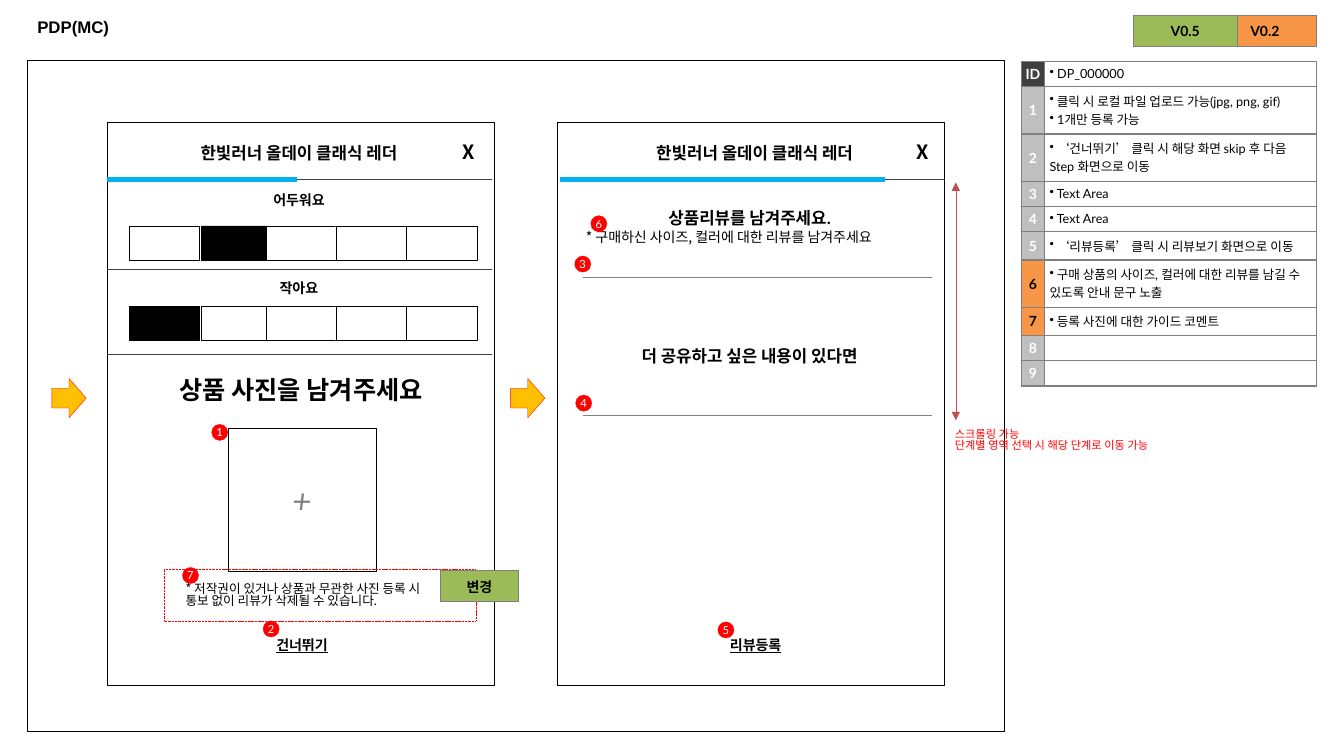
from lxml import etree
from pptx import Presentation, util as u
from pptx.dml.color import RGBColor
from pptx.enum import dml, shapes, text
from pptx.oxml.ns import qn

COLORS = {"black": "000000", "white": "FFFFFF", "dark": "404040", "gray": "808080",
          "border": "7F7F7F", "light": "BFBFBF", "red": "FF0000", "blue": "00B0F0",
          "amber": "FFC000", "orange": "F79646", "green": "9BBB59", "brick": "C0504D"}
HANGUL = "Noto Sans CJK KR"
CENTER, LEFT = text.PP_ALIGN.CENTER, text.PP_ALIGN.LEFT
TOP, MIDDLE = text.MSO_ANCHOR.TOP, text.MSO_ANCHOR.MIDDLE
RECT, OVAL = shapes.MSO_SHAPE.RECTANGLE, shapes.MSO_SHAPE.OVAL

prs = Presentation()
prs.slide_width, prs.slide_height = u.Inches(13.33), u.Inches(7.5)
slide = prs.slides.add_slide(prs.slide_layouts[6])
CELL = prs.slide_width / 133.3  # the slide is a grid of 133.3 columns by 75 rows


def write(frame, lines, size, color="black", bold=False, align=CENTER, font="Lato",
          bullet=False, spacing=None, underline=None, italic=None):
    for i, line in enumerate(lines):
        par = frame.paragraphs[0] if i == 0 else frame.add_paragraph()
        if bullet:
            etree.SubElement(par._p.get_or_add_pPr(), qn("a:buChar"), char="•")
        par.alignment = align
        if spacing:
            par.line_spacing = spacing
        run = par.add_run()
        run.text = line
        run.font.size, run.font.name = u.Pt(size), font
        run.font.bold, run.font.italic, run.font.underline = bold, italic, underline
        run.font.color.rgb = RGBColor.from_string(COLORS[color])
        etree.SubElement(run._r.get_or_add_rPr(), qn("a:ea"), typeface=HANGUL)


def draw(kind, at, fill=None, line="black", weight=0.25):
    part = slide.shapes.add_shape(kind, *[int(v * CELL) for v in at])
    part.shadow.inherit = False
    if fill:
        part.fill.solid()
        part.fill.fore_color.rgb = RGBColor.from_string(COLORS[fill])
    else:
        part.fill.background()
    part.line.color.rgb = RGBColor.from_string(COLORS[line])
    part.line.width = u.Pt(weight)
    frame = part.text_frame
    frame.margin_left = frame.margin_right = frame.margin_top = frame.margin_bottom = 0
    frame.vertical_anchor, frame.word_wrap = MIDDLE, False
    return part


# Page frame, the two phone screens and the step arrows
draw(RECT, (2.7, 6, 96.9, 66.6), weight=0.75)
for screen_left, arrow_left in ((10.6, 4.9), (55.3, 50.4)):
    draw(RECT, (screen_left, 12.1, 38.4, 55.9))
    draw(shapes.MSO_SHAPE.DOWN_ARROW, (arrow_left, 37.8, 3.9, 3.4), "amber", "red").rotation = 270

# Rating bars: five steps, one of them chosen
steps = ((12.8, 7), (20, 6.6), (26.4, 7), (33.3, 7), (40.3, 7))
for bar_top, chosen in ((22.4, 1), (30.4, 0)):
    for i, (step_left, step_width) in enumerate(steps):
        draw(RECT, (step_left, bar_top, step_width, 3.4), "black" if i == chosen else "white")

# Photo upload area
upload = draw(RECT, (22.6, 42.5, 14.7, 14.2))
write(upload.text_frame, ["+"], 24, "gray", italic=True)

# Dividers, progress lines and input lines: x1, y1, x2, y2, colour, weight
rules = [(10.6, 17.8, 48.8, 17.8, "dark", 0.75), (10.6, 17.8, 29.5, 17.8, "blue", 3),
         (10.6, 26.7, 48.8, 26.7, "dark", 0.75), (10.6, 35.2, 48.8, 35.2, "dark", 0.75),
         (55.5, 17.8, 93.7, 17.8, "dark", 0.75), (55.5, 17.8, 87.8, 17.8, "blue", 3),
         (57.8, 27.5, 92.4, 27.5, "gray", 0.75), (57.8, 41.2, 92.4, 41.2, "gray", 0.75),
         (94.8, 41.7, 94.8, 18.1, "brick", 0.25)]
for *ends, color, weight in rules:
    rule = slide.shapes.add_connector(shapes.MSO_CONNECTOR.STRAIGHT, *[int(v * CELL) for v in ends])
    rule.line.color.rgb = RGBColor.from_string(COLORS[color])
    rule.line.width = u.Pt(weight)
    if color == "brick":  # scroll range, arrowheads on both ends
        for end in ("a:headEnd", "a:tailEnd"):
            etree.SubElement(rule.line._get_or_add_ln(), qn(end), type="triangle")
    etree.SubElement(rule._element.spPr, qn("a:effectLst"))

# Screen texts: place, lines, inset, wrap, anchor, font options
head = dict(size=12, bold=True)
label = dict(size=10, bold=True)
button = dict(label, underline=True)
close = dict(size=14, bold=True, align=LEFT, font=HANGUL)
product = ["한빛러너 올데이 클래식 레더"]
captions = [
    ((2.7, 0.7, 127.9, 3.9), ["PDP(MC)"], (1, 0.5), True, MIDDLE, dict(head, align=LEFT, font="Arial")),
    ((17.9, 13.8, 23.5, 3.2), product, (0.4, 0.4), True, TOP, head),
    ((63.1, 13.8, 23.5, 3.2), product, (0.4, 0.4), True, TOP, head),
    ((44.9, 13.4, 3.2, 3.4), ["X"], (1, 0.5), False, TOP, close),
    ((89.9, 13.4, 3.2, 3.4), ["X"], (1, 0.5), False, TOP, close),
    ((23, 18.5, 13.3, 3.4), ["어두워요"], (1, 0.5), True, TOP, label),
    ((23, 27.2, 13.3, 3.4), ["작아요"], (1, 0.5), True, TOP, label),
    ((10.9, 36.6, 37.9, 5), ["상품 사진을 남겨주세요"], (1, 0.5), True, TOP, dict(size=18, bold=True)),
    ((23.3, 62.6, 13.3, 3.4), ["건너뛰기"], (1, 0.5), True, TOP, button),
    ((68.3, 62.6, 13.3, 3.4), ["리뷰등록"], (1, 0.5), True, TOP, button),
    ((55.5, 20.1, 37.7, 5), ["상품리뷰를 남겨주세요."], (1, 0.5), True, TOP, head),
    ((57.1, 22.2, 34.1, 2.7), ["* 구매하신 사이즈, 컬러에 대한 리뷰를 남겨주세요"], (1, 0.5), False, TOP,
     dict(size=10, align=LEFT, font=HANGUL)),
    ((55.5, 33.8, 37.7, 5), ["더 공유하고 싶은 내용이 있다면"], (1, 0.5), True, TOP, head),
    ((94.3, 42, 22.2, 3.5), ["스크롤링 가능", "단계별 영역 선택 시 해당 단계로 이동 가능"], (0.4, 0.4), False, MIDDLE,
     dict(size=8, color="red", align=LEFT, spacing=0.8)),
    ((18, 57.5, 25.1, 3.1), ["* 저작권이 있거나 상품과 무관한 사진 등록 시 통보 없이 리뷰가 삭제될 수 있습니다."],
     (0.4, 0.4), True, TOP, dict(size=9, align=LEFT, font=HANGUL, spacing=0.8)),
]
for at, lines, (side, edge), wrap, anchor, style in captions:
    caption = slide.shapes.add_textbox(*[int(v * CELL) for v in at]).text_frame
    caption.margin_left = caption.margin_right = int(side * CELL)
    caption.margin_top = caption.margin_bottom = int(edge * CELL)
    caption.word_wrap, caption.vertical_anchor = wrap, anchor
    write(caption, lines, **style)

# Numbered markers
markers = [(21, 42.1), (26.1, 61.6), (57, 25.4), (57.1, 39.2), (71.2, 61.7), (58.6, 21.4), (18.1, 56.3)]
for number, place in enumerate(markers, 1):
    marker = draw(OVAL, (*place, 1.6, 1.6), "red", "red")
    write(marker.text_frame, [str(number)], 8, "white")

# Dashed outline around the photo guide
draw(RECT, (16.3, 56.5, 30.9, 5.1), line="red").line.dash_style = dml.MSO_LINE.SQUARE_DOT

# Tables: left, top, column widths, rows of (height, key, fill, key colour, notes)
notes = [
    (2.5, "ID", "dark", "white", [" DP_000000"]),
    (4.7, "1", "light", "white", [" 클릭 시 로컬 파일 업로드 가능(jpg, png, gif)", " 1개만 등록 가능"]),
    (4.7, "2", "light", "white", [" ‘건너뛰기’ 클릭 시 해당 화면 skip 후 다음 Step 화면으로 이동"]),
    (2.5, "3", "light", "white", [" Text Area"]),
    (2.5, "4", "light", "white", [" Text Area"]),
    (2.8, "5", "light", "white", [" ‘리뷰등록’ 클릭 시 리뷰보기 화면으로 이동"]),
    (4.7, "6", "orange", "black", [" 구매 상품의 사이즈, 컬러에 대한 리뷰를 남길 수 있도록 안내 문구 노출"]),
    (2.8, "7", "orange", "black", [" 등록 사진에 대한 가이드 코멘트"]),
    (2.5, "8", "light", "white", []),
    (2.5, "9", "light", "white", []),
]
tables = [(101.3, 6.1, (2.3, 27), notes),
          (120.3, 1.5, (10.3,), [(3.1, "V0.2", "orange", "black", [])]),
          (112.4, 1.5, (10.3,), [(3.1, "V0.5", "green", "black", [])]),
          (43.7, 56.6, (7.7,), [(3.1, "변경", "green", "black", [])])]
for left, top, widths, rows in tables:
    size = (left, top, sum(widths), sum(row[0] for row in rows))
    table = slide.shapes.add_table(len(rows), len(widths), *[int(v * CELL) for v in size]).table
    table.first_row = table.horz_banding = False
    for column, width in zip(table.columns, widths):
        column.width = int(width * CELL)
    for row, (height, key, fill, key_color, details) in zip(table.rows, rows):
        row.height = int(height * CELL)
        for i, cell in enumerate(row.cells):
            margin = int(i * 0.5 * CELL)
            cell.margin_left = cell.margin_right = cell.margin_top = cell.margin_bottom = margin
            for side in ("a:lnL", "a:lnR", "a:lnT", "a:lnB"):
                border = etree.SubElement(cell._tc.get_or_add_tcPr(), qn(side), w="12700")
                paint = etree.SubElement(border, qn("a:solidFill"))
                etree.SubElement(paint, qn("a:srgbClr"), val=COLORS["border"])
            if i == 0:
                cell.vertical_anchor = MIDDLE
                cell.fill.solid()
                cell.fill.fore_color.rgb = RGBColor.from_string(COLORS[fill])
                write(cell.text_frame, [key], 10, key_color, bold=True)
            else:
                cell.fill.background()
                write(cell.text_frame, details, 9, align=LEFT, bullet=True)
                if not details:
                    etree.SubElement(cell.text_frame.paragraphs[0]._p, qn("a:endParaRPr"), sz="900")

prs.save("out.pptx")
